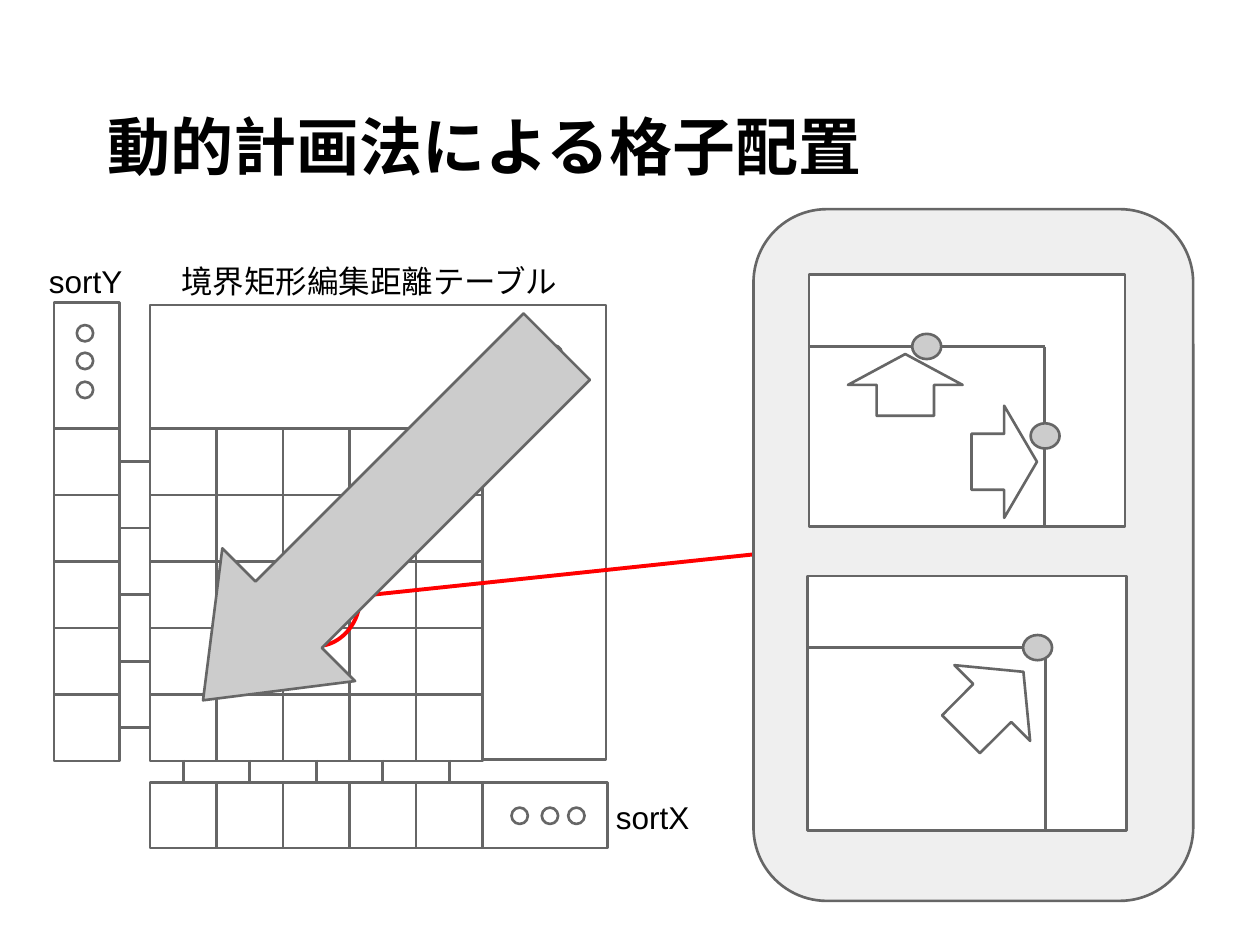
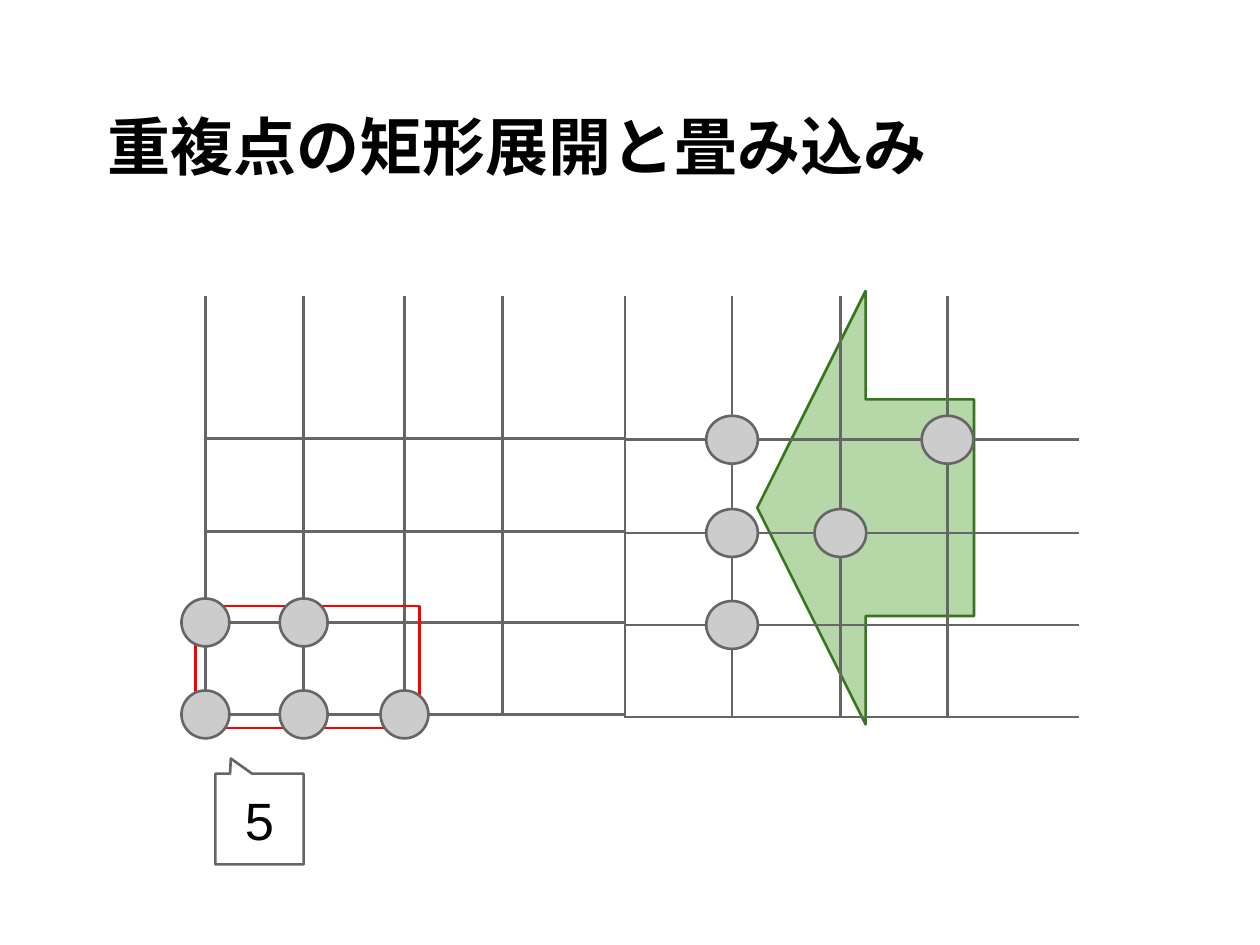
from lxml import etree
from pptx import Presentation
from pptx.dml.color import RGBColor
from pptx.enum.shapes import MSO_CONNECTOR, MSO_SHAPE as SHAPE
from pptx.enum.text import MSO_ANCHOR, MSO_AUTO_SIZE, PP_ALIGN
from pptx.oxml.ns import qn
from pptx.util import Inches, Pt

BLACK = RGBColor(0x00, 0x00, 0x00)
WHITE = RGBColor(0xFF, 0xFF, 0xFF)
GRAY = RGBColor(0x66, 0x66, 0x66)
SILVER = RGBColor(0xCC, 0xCC, 0xCC)
PALE = RGBColor(0xEF, 0xEF, 0xEF)
RED = RGBColor(0xFF, 0x00, 0x00)
GREEN = RGBColor(0xB6, 0xD7, 0xA8)
DARK_GREEN = RGBColor(0x38, 0x76, 0x1D)
FONT = "Arial"


def add_box(slide, kind, left, top, width, height, fill=WHITE, line=GRAY,
            weight=1.5, rotation=0, adjustments=()):
    shape = slide.shapes.add_shape(
        kind, Inches(left), Inches(top), Inches(width), Inches(height))
    shape.shadow.inherit = False
    if fill is None:
        shape.fill.background()
    else:
        shape.fill.solid()
        shape.fill.fore_color.rgb = fill
    shape.line.color.rgb = line
    shape.line.width = Pt(weight)
    shape.rotation = rotation
    for index, value in enumerate(adjustments):
        shape.adjustments[index] = value
    return shape


def add_line(slide, x1, y1, x2, y2, color=GRAY, weight=1.5):
    connector = slide.shapes.add_connector(
        MSO_CONNECTOR.STRAIGHT, Inches(x1), Inches(y1), Inches(x2), Inches(y2))
    connector.line.color.rgb = color
    connector.line.width = Pt(weight)
    etree.SubElement(connector._element.spPr, qn("a:effectLst"))


presentation = Presentation()
presentation.slide_width = Inches(10)
presentation.slide_height = Inches(7.5)

# Slides with their titles
slides = []
for title_text in ("動的計画法による格子配置", "重複点の矩形展開と畳み込み"):
    slide = presentation.slides.add_slide(presentation.slide_layouts[5])
    title = slide.shapes.title
    title.left, title.top = Inches(0.5), Inches(0.3)
    title.width, title.height = Inches(9), Inches(1.25)
    frame = title.text_frame
    frame.auto_size = MSO_AUTO_SIZE.NONE
    frame.word_wrap = True
    frame.vertical_anchor = MSO_ANCHOR.BOTTOM
    frame.margin_left = frame.margin_right = Inches(0.1)
    frame.margin_top = frame.margin_bottom = Inches(0.1)
    paragraph = frame.paragraphs[0]
    paragraph.alignment = PP_ALIGN.LEFT
    paragraph._p.get_or_add_pPr().set("indent", str(Inches(0.25)))
    run = paragraph.add_run()
    run.text = title_text
    run.font.name = FONT
    run.font.size = Pt(36)
    run.font.bold = True
    run.font.color.rgb = BLACK
    slides.append(slide)
table_slide, lattice_slide = slides

# Slide 1: distance table with the sortY column and sortX row
COUNT = 5
CELL = 2.64 / COUNT
GRID_LEFT, GRID_TOP, GRID_BOTTOM = 1.19, 3.4, 6.03
SORT_Y_LEFT, SORT_X_TOP, STRIP = 0.43, 6.21, 0.52
columns = [GRID_LEFT + CELL * i for i in range(COUNT)]
rows = [GRID_TOP + CELL * i for i in range(COUNT)]

add_box(table_slide, SHAPE.RECTANGLE, SORT_Y_LEFT, 2.4, STRIP, 1)
add_box(table_slide, SHAPE.RECTANGLE, 3.82, SORT_X_TOP, 1, STRIP)
add_box(table_slide, SHAPE.RECTANGLE, GRID_LEFT, 2.42, 3.62, 3.61)
for row in rows:
    add_box(table_slide, SHAPE.RECTANGLE, SORT_Y_LEFT, row, STRIP, CELL)
    for column in columns:
        add_box(table_slide, SHAPE.RECTANGLE, column, row, CELL, CELL)
for column in columns:
    add_box(table_slide, SHAPE.RECTANGLE, column, SORT_X_TOP, CELL, STRIP)

# Ellipsis dots in the strips and along the diagonal
for left, top in [(4.06, 6.41), (4.3, 6.41), (4.51, 6.41),
                  (4.01, 3.06), (4.18, 2.89), (4.33, 2.74),
                  (0.61, 3.03), (0.61, 2.8), (0.61, 2.58)]:
    add_box(table_slide, SHAPE.OVAL, left, top, 0.13, 0.13)

# Marked cell corner and direction of the computation
add_box(table_slide, SHAPE.OVAL, 2.15, 4.33, 0.71, 0.8, None, RED, 2.25)
add_line(table_slide, 2.86, 4.73, 5.98, 4.4, RED, 2.25)
add_box(table_slide, SHAPE.DOWN_ARROW, 2.27, 2.17, 1.49, 3.97, SILVER,
        rotation=45, adjustments=(0.5, 0.645))

# Ticks joining the strips to the table
for column, row in zip(columns, rows):
    add_line(table_slide, SORT_Y_LEFT + STRIP, row + CELL / 2,
             GRID_LEFT, row + CELL / 2)
    add_line(table_slide, column + CELL / 2, GRID_BOTTOM,
             column + CELL / 2, SORT_X_TOP)

# Enlarged view: insert and delete above, match below
add_box(table_slide, SHAPE.ROUNDED_RECTANGLE, 5.98, 1.66, 3.49, 5.49, PALE,
        adjustments=(0.167,))
for left, top, width, height, corner_x, nodes in [
        (6.42, 2.18, 2.51, 2, 8.29, [(7.24, 2.65), (8.18, 3.36)]),
        (6.41, 4.57, 2.53, 2.02, 8.3, [(8.12, 5.04)])]:
    corner_y = top + 0.57
    add_box(table_slide, SHAPE.RECTANGLE, left, top, width, height)
    add_line(table_slide, left, corner_y, corner_x, corner_y)
    add_line(table_slide, corner_x, corner_y, corner_x, top + height)
    for node_left, node_top in nodes:
        add_box(table_slide, SHAPE.OVAL, node_left, node_top, 0.23, 0.2, SILVER)
add_box(table_slide, SHAPE.UP_ARROW, 6.73, 2.81, 0.91, 0.49)
add_box(table_slide, SHAPE.RIGHT_ARROW, 7.71, 3.22, 0.52, 0.89)
add_box(table_slide, SHAPE.UP_ARROW, 7.45, 5.23, 0.85, 0.7, rotation=45)

# Slide 2: folding arrow, then two adjoining lattices
add_box(lattice_slide, SHAPE.LEFT_ARROW, 6.01, 2.31, 1.72, 3.44,
        GREEN, DARK_GREEN)
LATTICE_TOP, MIDDLE = 2.35, 4.96
left_xs, left_ys = [1.63, 2.41, 3.21, 3.99], [3.48, 4.22, 4.94, 5.67]
right_xs, right_ys = [MIDDLE, 5.81, 6.67, 7.52], [3.49, 4.23, 4.96, 5.69]
for xs, ys, right_end in [(left_xs, left_ys, MIDDLE),
                          (right_xs, right_ys, 8.56)]:
    for x in xs:
        add_line(lattice_slide, x, LATTICE_TOP, x, ys[-1] + 0.01)
    for y in ys:
        add_line(lattice_slide, xs[0], y, right_end, y)

# Overlapping points: expanded on the left, folded on the right
add_box(lattice_slide, SHAPE.RECTANGLE, 1.55, 4.81, 1.78, 0.97, None, RED)
NODE_HEIGHT = 0.38
for xs, ys, node_width, places in [
        (left_xs, left_ys, 0.38, [(0, 2), (1, 2), (0, 3), (1, 3), (2, 3)]),
        (right_xs, right_ys, 0.41, [(1, 0), (1, 1), (1, 2), (2, 1), (3, 0)])]:
    for column, row in places:
        add_box(lattice_slide, SHAPE.OVAL, xs[column] - node_width / 2,
                ys[row] - NODE_HEIGHT / 2, node_width, NODE_HEIGHT, SILVER)

callout = add_box(lattice_slide, SHAPE.RECTANGULAR_CALLOUT, 1.71, 6.14, 0.7,
                  0.72, adjustments=(-0.325, -0.667))

# Centred texts: table labels and the point count
labels = [(callout, "5", 30, MSO_ANCHOR.MIDDLE)]
for left, top, width, text in [(0.27, 1.98, 0.82, "sortY"),
                               (4.77, 6.23, 0.82, "sortX"),
                               (1.08, 1.98, 3.7, "境界矩形編集距離テーブル")]:
    text_box = table_slide.shapes.add_textbox(
        Inches(left), Inches(top), Inches(width), Inches(0.5))
    labels.append((text_box, text, 18, MSO_ANCHOR.TOP))
for shape, text, size, anchor in labels:
    frame = shape.text_frame
    frame.word_wrap = True
    frame.vertical_anchor = anchor
    frame.margin_left = frame.margin_right = Inches(0.1)
    frame.margin_top = frame.margin_bottom = Inches(0.1)
    paragraph = frame.paragraphs[0]
    paragraph.alignment = PP_ALIGN.CENTER
    run = paragraph.add_run()
    run.text = text
    run.font.name = FONT
    run.font.size = Pt(size)
    run.font.color.rgb = BLACK

presentation.save("out.pptx")
